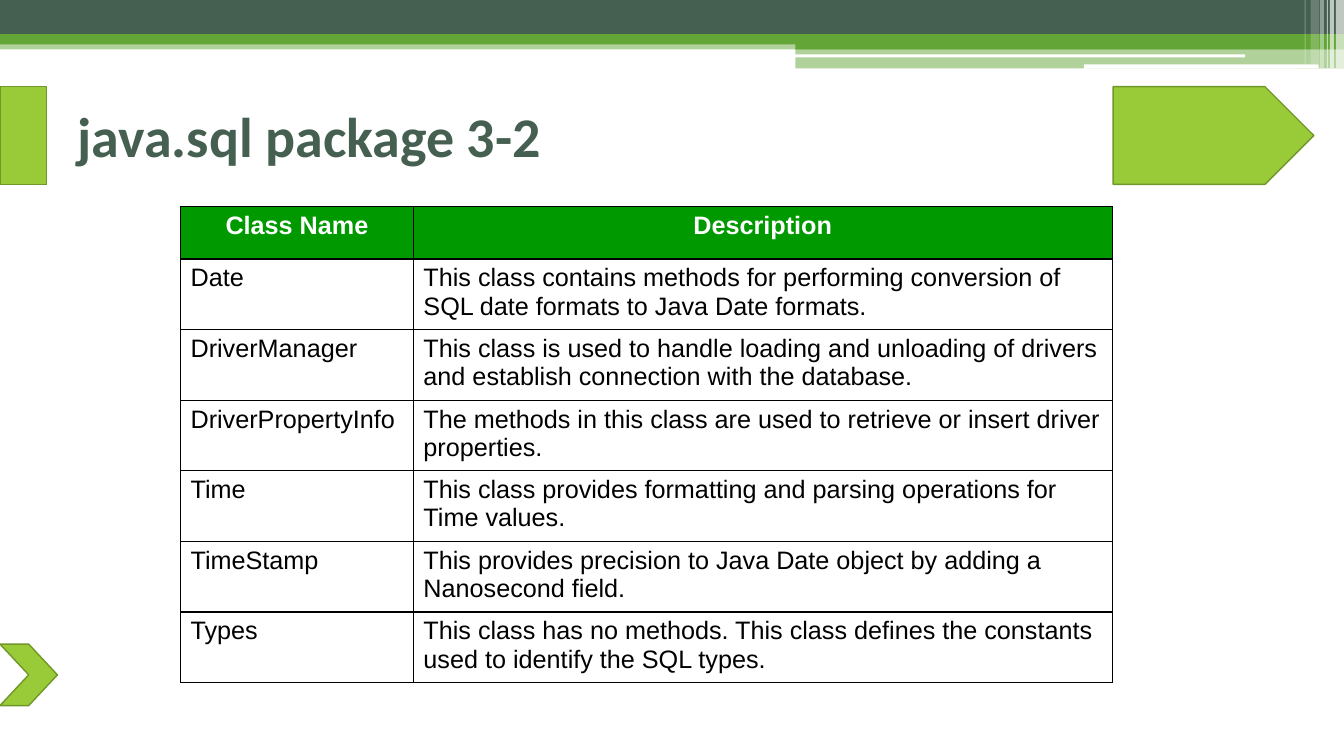
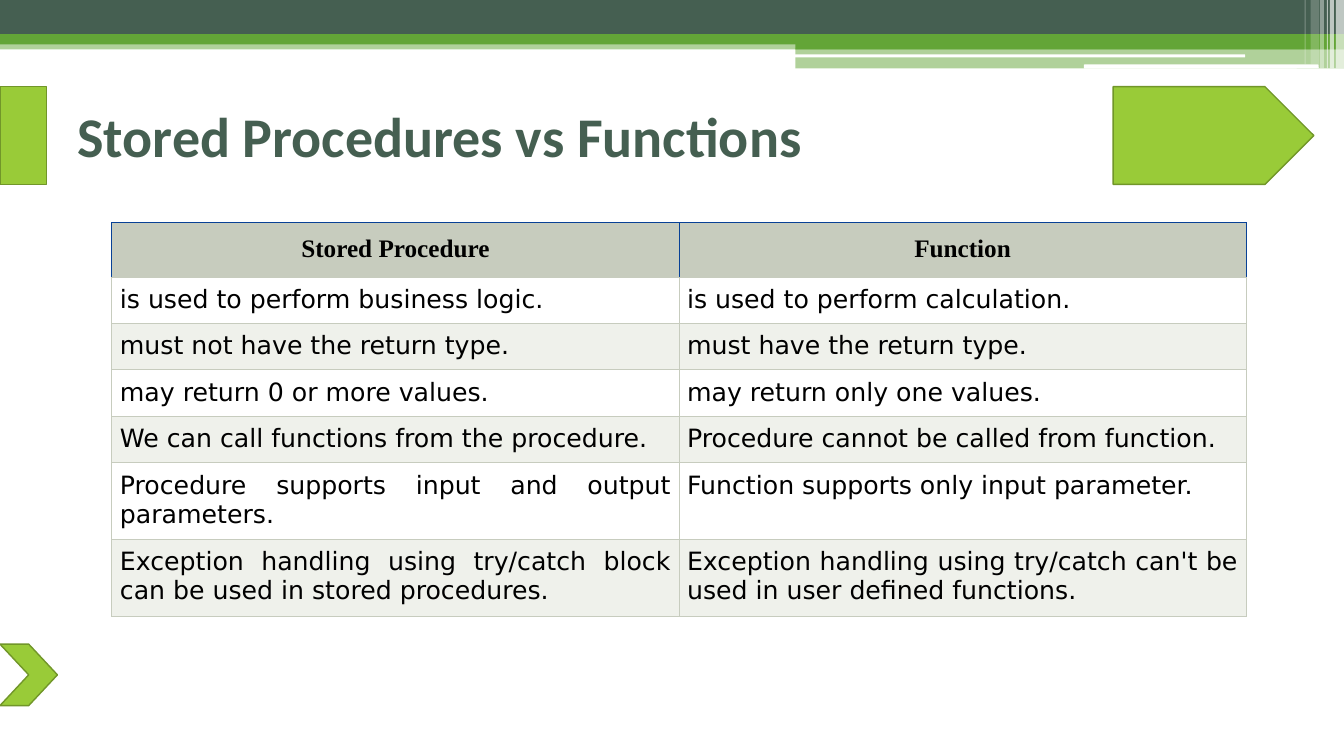
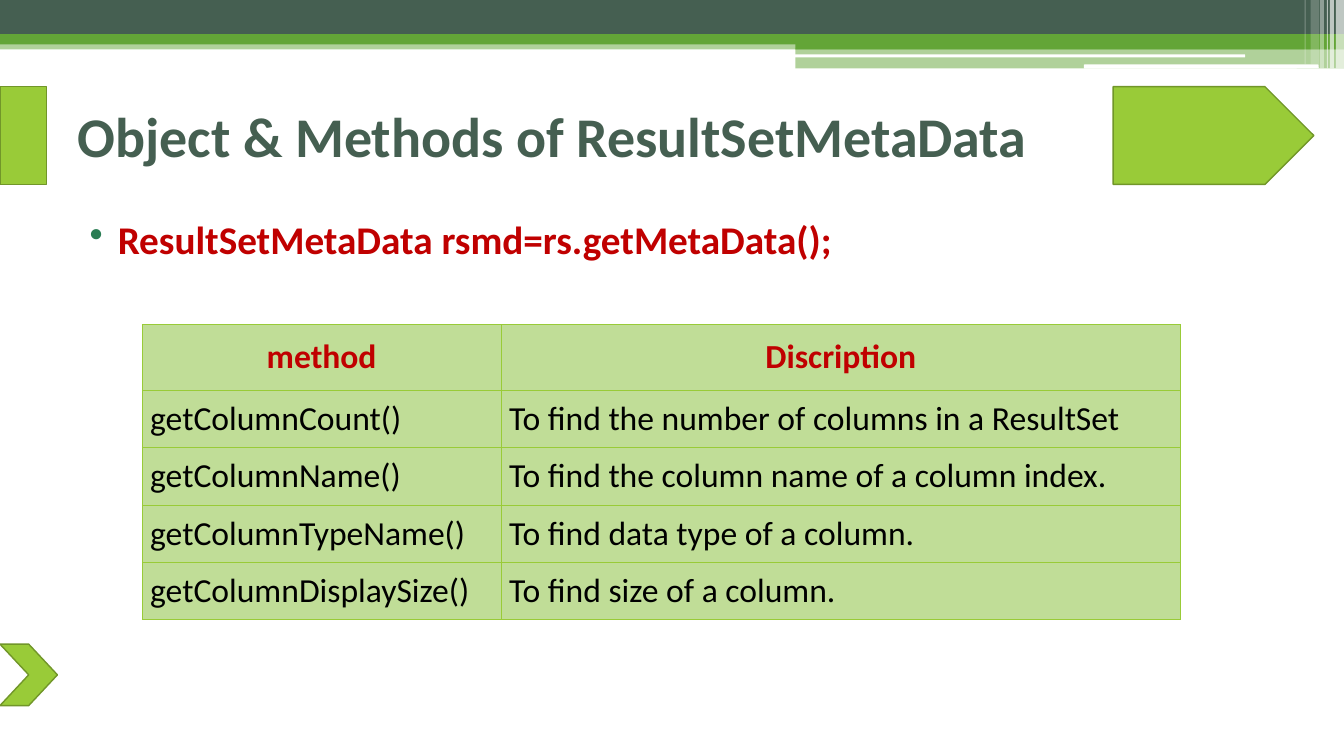
from dataclasses import dataclass

from lxml import etree
from pptx import Presentation
from pptx.dml.color import RGBColor
from pptx.enum.shapes import MSO_SHAPE
from pptx.enum.text import MSO_ANCHOR, PP_ALIGN
from pptx.oxml.ns import qn
from pptx.util import Inches, Pt

RECT, ROUNDED = MSO_SHAPE.RECTANGLE, MSO_SHAPE.ROUNDED_RECTANGLE
TAG, CHEVRON = MSO_SHAPE.PENTAGON, MSO_SHAPE.CHEVRON
TOP, MIDDLE = MSO_ANCHOR.TOP, MSO_ANCHOR.MIDDLE
LEFT, CENTER, JUSTIFY = PP_ALIGN.LEFT, PP_ALIGN.CENTER, PP_ALIGN.JUSTIFY


@dataclass(frozen=True)
class Theme:
    width: float = 13.33
    height: float = 7.5
    font: str = "Calibri"
    dark: str = "455F51"
    green: str = "63A537"
    lime: str = "99CB38"
    lime_edge: str = "719629"
    lime_pale: str = "C0DD97"
    header_green: str = "009900"
    sage: str = "C7CCBE"
    sage_pale: str = "EFF1EB"
    navy: str = "084196"
    bullet: str = "297D53"
    red: str = "C00000"
    black: str = "000000"
    white: str = "FFFFFF"
    title_size: int = 40
    body_size: int = 28
    method_size: int = 24
    table_size: int = 18


THEME = Theme()

# Preset, left, top, width, height, colour, opacity in percent
BANDS = [
    (RECT, 0, 0.4, THEME.width, 0.09, THEME.green, 50),
    (RECT, 0, 0, THEME.width, 0.34, THEME.dark, 100),
    (RECT, 0, 0.34, THEME.width, 0.1, THEME.green, 100),
    (RECT, 7.89, 0.39, 5.44, 0.1, THEME.green, 100),
    (RECT, 7.89, 0.48, 5.44, 0.2, THEME.green, 50),
    (ROUNDED, 7.88, 0.54, 4.47, 0.03, THEME.white, 100),
    (ROUNDED, 10.75, 0.64, 2.33, 0.04, THEME.white, 100),
]
# Left, width, height, opacity in percent
STRIPES = [
    (13.25, 0.08, 0.68, 65),
    (13.19, 0.04, 0.68, 65),
    (13.16, 0.01, 0.68, 60),
    (13.09, 0.04, 0.68, 40),
    (13, 0.08, 0.64, 20),
    (12.94, 0.01, 0.64, 30),
]
MARKERS = [
    (RECT, 0, 0.86, 0.46, 0.97),
    (TAG, 11.04, 0.86, 1.99, 0.97),
    (CHEVRON, 0, 6.39, 0.57, 0.61),
]


@dataclass(frozen=True)
class RowStyle:
    """Look of one table row; insets are horizontal and vertical."""
    font: str
    size: int
    color: str
    fills: tuple
    border: tuple
    insets: tuple
    bold: bool = False
    align: PP_ALIGN = LEFT
    anchor: MSO_ANCHOR = TOP
    hanging: float = 0
    bottom_border: tuple = ()


CLASS_HEAD = RowStyle("Arial", THEME.table_size, THEME.white, (THEME.header_green,),
                      (THEME.black, 1), (0.1, 0.05), bold=True, align=CENTER, hanging=0.38)
CLASS_BODY = RowStyle("Arial", THEME.table_size, THEME.black, (THEME.white,),
                      (THEME.black, 1), (0.1, 0.05), hanging=0.38)
COMPARE_HEAD = RowStyle("Times New Roman", THEME.table_size, THEME.black, (THEME.sage,),
                        (THEME.navy, 0.75), (0.12, 0.12), bold=True, align=CENTER,
                        bottom_border=(THEME.sage, 0.75))
COMPARE_BODY = RowStyle("DejaVu Sans", THEME.table_size, THEME.black,
                        (THEME.white, THEME.sage_pale), (THEME.sage, 0.75),
                        (0.08, 0.08), align=JUSTIFY)
METHOD_HEAD = RowStyle(THEME.font, THEME.method_size, THEME.red, (THEME.lime_pale,),
                       (THEME.lime, 0.5), (0.08, 0.12), bold=True, align=CENTER, anchor=MIDDLE)
METHOD_BODY = RowStyle(THEME.font, THEME.method_size, THEME.black, (THEME.lime_pale,),
                       (THEME.lime, 0.5), (0.08, 0.08), anchor=MIDDLE)

CLASS_ROWS = [
    ("Class Name", "Description"),
    ("Date", "This class contains methods for performing conversion of\n"
             "SQL date formats to Java Date formats."),
    ("DriverManager", "This class is used to handle loading and unloading of drivers\n"
                      "and establish connection with the database."),
    ("DriverPropertyInfo", "The methods in this class are used to retrieve or insert driver\n"
                           "properties."),
    ("Time", "This class provides formatting and parsing operations for\nTime values."),
    ("TimeStamp", "This provides precision to Java Date object by adding a\nNanosecond field."),
    ("Types", "This class has no methods. This class defines the constants\n"
              "used to identify the SQL types."),
]
COMPARE_ROWS = [
    ("Stored Procedure", "Function"),
    ("is used to perform business logic.", "is used to perform calculation."),
    ("must not have the return type.", "must have the return type."),
    ("may return 0 or more values.", "may return only one values."),
    ("We can call functions from the procedure.", "Procedure cannot be called from function."),
    ("Procedure supports input and output parameters.",
     "Function supports only input parameter."),
    ("Exception handling using try/catch block can be used in stored procedures.",
     "Exception handling using try/catch can't be used in user defined functions."),
]
METHOD_ROWS = [
    ("method", "Discription"),
    ("getColumnCount()", "To find the number of columns in a ResultSet"),
    ("getColumnName()", "To find the column name of a column index."),
    ("getColumnTypeName()", "To find data type of a column."),
    ("getColumnDisplaySize()", "To find size of a column."),
]


def rgb(color):
    return RGBColor.from_string(color)


def set_font(paragraph, name, size, color, bold):
    font = paragraph.font
    font.name, font.size, font.bold = name, Pt(size), bold
    font.color.rgb = rgb(color)


def set_indent(paragraph, margin, first_line):
    properties = paragraph._p.get_or_add_pPr()
    properties.set("marL", str(Inches(margin)))
    properties.set("indent", str(Inches(first_line)))
    return properties


def add_block(slide, preset, left, top, width, height, color, opacity=100, edge=None):
    block = slide.shapes.add_shape(preset, Inches(left), Inches(top),
                                   Inches(width), Inches(height))
    block.shadow.inherit = False
    block.fill.solid()
    block.fill.fore_color.rgb = rgb(color)
    if opacity < 100:
        tint = block._element.spPr.find(".//" + qn("a:srgbClr"))
        etree.SubElement(tint, qn("a:alpha"), val=str(opacity * 1000))
    if edge:
        block.line.color.rgb = rgb(edge)
        block.line.width = Pt(1)
    else:
        block.line.fill.background()


def add_text(slide, text, top, height, size, color, anchor=TOP):
    frame = slide.shapes.add_textbox(Inches(0.67), Inches(top),
                                     Inches(12), Inches(height)).text_frame
    frame.word_wrap = True
    frame.vertical_anchor = anchor
    paragraph = frame.paragraphs[0]
    paragraph.text = text
    set_font(paragraph, THEME.font, size, color, True)
    return paragraph


def add_bullet(paragraph):
    properties = set_indent(paragraph, 0.4, -0.28)
    marker = etree.Element(qn("a:buChar"), char="•")
    tint = etree.Element(qn("a:buClr"))
    etree.SubElement(tint, qn("a:srgbClr"), val=THEME.bullet)
    properties.insert(0, marker)
    properties.insert(0, tint)


def set_borders(cell, style):
    properties = cell._tc.get_or_add_tcPr()
    for side in ("L", "R", "T", "B"):
        color, points = (style.bottom_border if side == "B" else ()) or style.border
        edge = etree.SubElement(properties, qn("a:ln" + side), w=str(Pt(points)))
        fill = etree.SubElement(edge, qn("a:solidFill"))
        etree.SubElement(fill, qn("a:srgbClr"), val=color)


def fill_cell(cell, text, style, fill):
    set_borders(cell, style)
    cell.fill.solid()
    cell.fill.fore_color.rgb = rgb(fill)
    across, down = map(Inches, style.insets)
    cell.margin_left = cell.margin_right = across
    cell.margin_top = cell.margin_bottom = down
    cell.vertical_anchor = style.anchor
    cell.text_frame.text = text
    for paragraph in cell.text_frame.paragraphs:
        paragraph.alignment = style.align
        if style.hanging:
            set_indent(paragraph, style.hanging, -style.hanging)
        set_font(paragraph, style.font, style.size, style.color, style.bold)


def add_grid(slide, left, top, widths, heights, rows, head, body):
    """Add a table whose first row uses head and whose other rows cycle body's fills."""
    table = slide.shapes.add_table(len(rows), len(widths), Inches(left), Inches(top),
                                   Inches(sum(widths)), Inches(sum(heights))).table
    table.first_row = table.horz_banding = False
    for column, width in zip(table.columns, widths):
        column.width = Inches(width)
    for index, (texts, height) in enumerate(zip(rows, heights)):
        table.rows[index].height = Inches(height)
        style = body if index else head
        fill = style.fills[(index - 1) % len(style.fills)]
        for column, text in enumerate(texts):
            fill_cell(table.cell(index, column), text, style, fill)


def add_titled_slide(deck, title):
    slide = deck.slides.add_slide(deck.slide_layouts[6])
    for band in BANDS:
        add_block(slide, *band)
    for left, width, height, opacity in STRIPES:
        add_block(slide, RECT, left, 0, width, height, THEME.white, opacity)
    for marker in MARKERS:
        add_block(slide, *marker, THEME.lime, edge=THEME.lime_edge)
    add_text(slide, title, 0.76, 1.17, THEME.title_size, THEME.dark, MIDDLE)
    return slide


def main():
    deck = Presentation()
    deck.slide_width, deck.slide_height = Inches(THEME.width), Inches(THEME.height)

    classes = add_titled_slide(deck, "java.sql package 3-2")
    add_grid(classes, 1.79, 2.05, [2.31, 6.93], [0.52] + [0.7] * 6,
             CLASS_ROWS, CLASS_HEAD, CLASS_BODY)

    comparison = add_titled_slide(deck, "Stored Procedures vs Functions")
    add_grid(comparison, 1.11, 2.21, [11.25 / 2] * 2, [0.53] + [0.46] * 4 + [0.75] * 2,
             COMPARE_ROWS, COMPARE_HEAD, COMPARE_BODY)

    metadata = add_titled_slide(deck, "Object & Methods of ResultSetMetaData")
    call = add_text(metadata, "ResultSetMetaData rsmd=rs.getMetaData();", 2.09, 0.6,
                    THEME.body_size, THEME.red)
    add_bullet(call)
    add_grid(metadata, 1.41, 3.22, [3.56, 6.74], [0.65] + [0.57] * 4,
             METHOD_ROWS, METHOD_HEAD, METHOD_BODY)

    deck.save("out.pptx")


if __name__ == "__main__":
    main()
